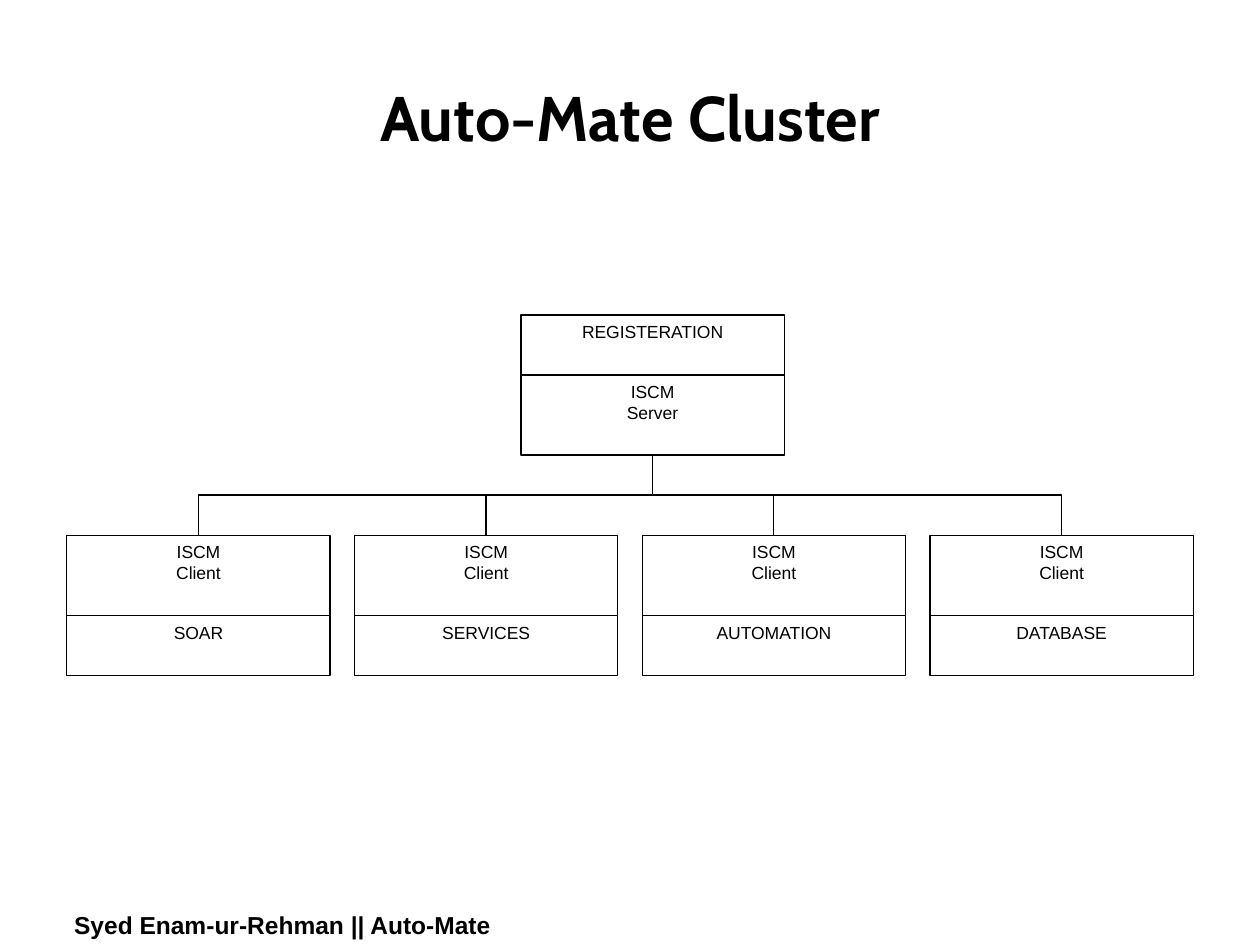
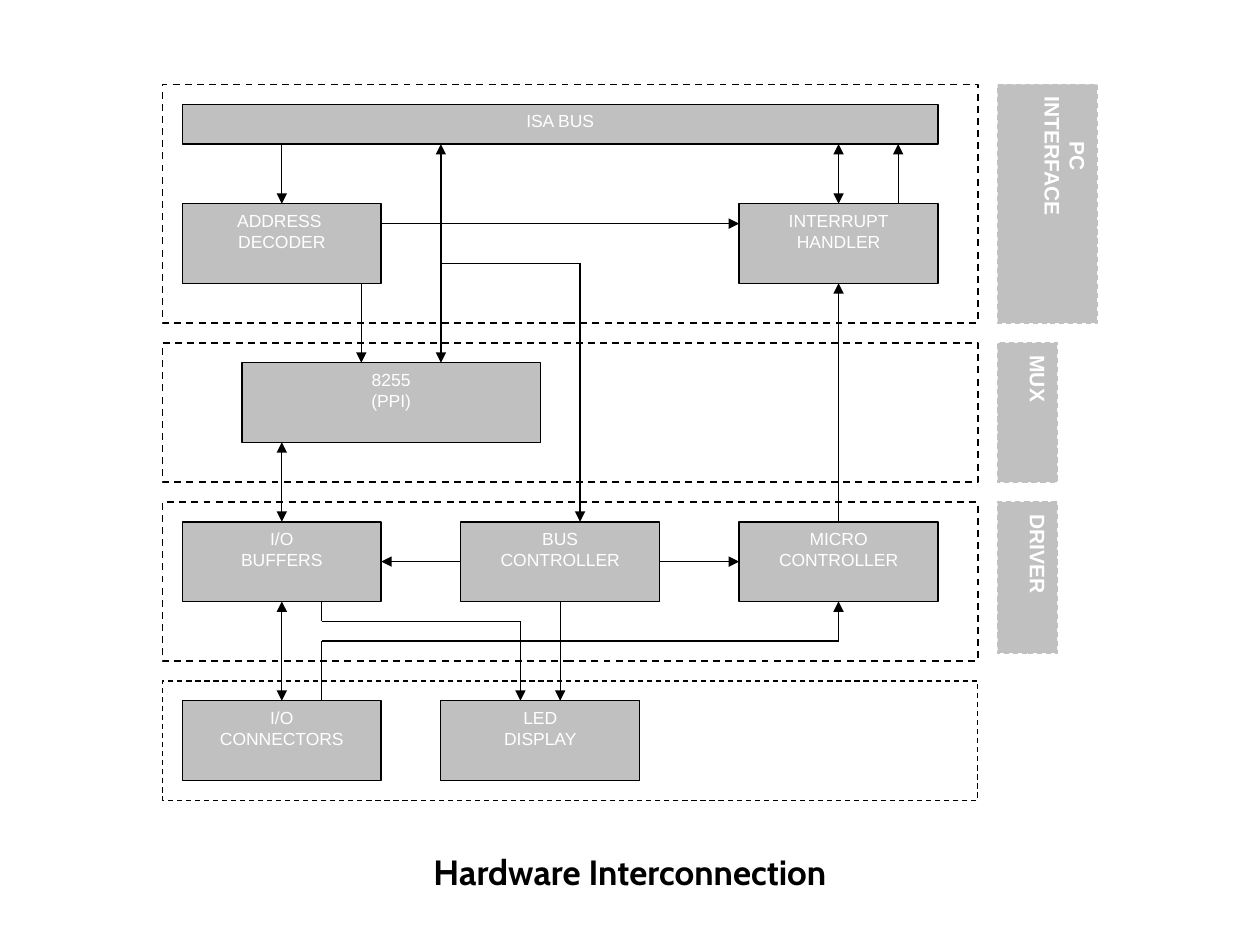
from itertools import pairwise
from lxml.etree import SubElement
from pptx import Presentation
from pptx.dml.color import RGBColor
from pptx.enum.dml import MSO_LINE as Dash
from pptx.enum.shapes import MSO_CONNECTOR as Link, MSO_SHAPE as Shape
from pptx.enum.text import MSO_ANCHOR as Anchor, MSO_AUTO_SIZE as Fit, PP_ALIGN as Align
from pptx.oxml.ns import qn
from pptx.util import Inches, Pt

HUES = {"ink": "000000", "paper": "FFFFFF", "grey": "C0C0C0"}
WIDE, HIGH = 10, 7.5
HEAD, BODY = "Cabin", "Arial"
THIN = 0.75


def hue(name):
    return RGBColor.from_string(HUES[name])


# Shared text and shape helpers
def write(frame, lines, size, font=BODY, ink="ink", bold=False, align=Align.CENTER):
    frame.word_wrap = True
    for i, line in enumerate(lines):
        para = frame.add_paragraph() if i else frame.paragraphs[0]
        para.alignment = align
        run = para.add_run()
        run.text = line
        run.font.size, run.font.name, run.font.bold = Pt(size), font, bold
        run.font.color.rgb = hue(ink)


def title(slide, text, box, size):
    head = slide.shapes.title
    head.left, head.top, head.width, head.height = map(Inches, box)
    frame = head.text_frame
    frame.auto_size = Fit.NONE
    frame.vertical_anchor = Anchor.MIDDLE
    write(frame, [text], size, HEAD, bold=True)


def footer(slide, text):
    box = slide.shapes.add_textbox(*map(Inches, (0.49, 7.17, 0.9 * WIDE, 0.34)))
    write(box.text_frame, [text], 14, bold=True, align=Align.LEFT)


def rect(slide, box, fill="paper", edge="ink", weight=THIN, dash=False):
    shape = slide.shapes.add_shape(Shape.RECTANGLE, *map(Inches, box))
    shape.shadow.inherit = False
    shape.fill.solid()
    shape.fill.fore_color.rgb = hue(fill)
    shape.line.color.rgb = hue(edge)
    shape.line.width = Pt(weight)
    if dash:
        shape.line.dash_style = Dash.DASH
    shape.text_frame.vertical_anchor = Anchor.TOP
    return shape


def link(slide, kind, start, end, tips=()):
    line = slide.shapes.add_connector(kind, *map(Inches, (*start, *end)))
    line.line.color.rgb = hue("ink")
    line.line.width = Pt(THIN)
    props = line._element.spPr
    for tip in tips:
        SubElement(props.find(qn("a:ln")), qn(f"a:{tip}"), type="triangle")
    SubElement(props, qn("a:effectLst"))
    return line


# Elbow that leaves downward, turns halfway and enters from above
def elbow(slide, start, end):
    (x1, y1), (x2, y2) = start, end
    midx, midy = (x1 + x2) / 2, (y1 + y2) / 2
    run, drop = abs(x2 - x1) / 2, (y2 - y1) / 2
    line = link(slide, Link.ELBOW, (midx - drop, midy - run), (midx + drop, midy + run))
    form = line._element.spPr.find(qn("a:xfrm"))
    form.set("rot", str((90 if x2 < x1 else 270) * 60000))
    if x2 > x1:
        form.set("flipH", "1")


# Cluster tree: 18 rows high, server above a row of clients
def cluster(slide, box, server, clients):
    left, top, width, height = box
    row, card = height / 18, 2.09
    pitch = (width - card) / (len(clients) - 1)

    def stack(x, y, parts):
        for lines, rows in parts:
            shape = rect(slide, (x, y, card, rows * row))
            write(shape.text_frame, lines, 10)
            y += rows * row

    hub = left + 0.52 * width
    stack(hub - card / 2, top, [([server], 3), (["ISCM", "Server"], 4)])
    for i, name in enumerate(clients):
        x, y = left + i * pitch, top + 11 * row
        stack(x, y, [(["ISCM", "Client"], 4), ([name], 3)])
        elbow(slide, (hub, top + 7 * row), (x + card / 2, y))


# Board diagram: 41 columns of square cells; parts are (column, row, columns, rows)
PANELS = [(0, 12, 1), (13, 7, 1), (21, 8, 1), (30, 6, THIN)]
BLOCKS = [
    (1, 1, 38, 2, ["ISA BUS"]),
    (1, 6, 10, 4, ["ADDRESS ", "DECODER"]),
    (29, 6, 10, 4, ["INTERRUPT", "HANDLER"]),
    (4, 14, 15, 4, ["8255", "(PPI)"]),
    (1, 22, 10, 4, ["I/O", "BUFFERS"]),
    (29, 22, 10, 4, ["MICRO CONTROLLER"]),
    (15, 22, 10, 4, ["BUS", "CONTROLLER"]),
    (1, 31, 10, 4, ["I/O", "CONNECTORS"]),
    (14, 31, 10, 4, ["LED", "DISPLAY"]),
]
ONEWAY = [
    [(6, 3), (6, 6)],
    [(11, 7), (29, 7)],
    [(14, 9), (21, 9), (21, 22)],
    [(10, 10), (10, 14)],
    [(34, 22), (34, 10)],
    [(37, 6), (37, 3)],
    [(15, 24), (11, 24)],
    [(25, 24), (29, 24)],
    [(20, 26), (20, 31)],
    [(8, 26), (8, 27), (18, 27), (18, 31)],
    [(8, 31), (8, 28), (34, 28), (34, 26)],
]
TWOWAY = [
    [(14, 3), (14, 14)],
    [(34, 6), (34, 3)],
    [(6, 18), (6, 22)],
    [(6, 26), (6, 31)],
]
LABELS = [
    (0, 5, 12, ["PC", "INTERFACE"]),
    (13, 3, 7, ["MUX"]),
    (21, 3, 7.6, ["DRIVER"]),
]


def board(slide, left, top, width):
    cell = width / 41

    def spot(col, row):
        return left + col * cell, top + row * cell

    def area(col, row, cols, rows):
        return *spot(col, row), cols * cell, rows * cell

    # Dashed layers and grey blocks
    for row, rows, weight in PANELS:
        rect(slide, area(0, row, 41, rows), weight=weight, dash=True)
    for *place, lines in BLOCKS:
        block = rect(slide, area(*place), "grey")
        write(block.text_frame, lines, 10, ink="paper")

    # Signal routes, with arrowheads on the last leg
    for routes, tips in ((ONEWAY, ["tailEnd"]), (TWOWAY, ["headEnd", "tailEnd"])):
        for route in routes:
            for start, end in pairwise(route):
                last = end == route[-1]
                link(slide, Link.STRAIGHT, spot(*start), spot(*end), tips if last else ())

    # Vertical layer labels
    for row, cols, rows, lines in LABELS:
        tag = rect(slide, area(42, row, cols, rows), "grey", "grey", dash=True)
        frame = tag.text_frame
        frame.margin_left = frame.margin_right = Inches(0.05)
        frame.margin_top = frame.margin_bottom = Inches(0.1)
        write(frame, lines, 12, ink="paper", bold=True)
        frame._txBody.bodyPr.set("vert", "eaVert")


def main():
    deck = Presentation()
    deck.slide_width, deck.slide_height = Inches(WIDE), Inches(HIGH)
    layout = deck.slide_layouts.get_by_name("Title Only")

    tree = deck.slides.add_slide(layout)
    footer(tree, "Syed Enam-ur-Rehman || Auto-Mate")
    title(tree, "Auto-Mate Cluster", (0.05 * WIDE, 0.04 * HIGH, 0.9 * WIDE, 1.25), 36)
    cluster(tree, (0.53, HIGH / 3, 8.94, 2.86), "REGISTERATION",
            ["SOAR", "SERVICES", "AUTOMATION", "DATABASE"])

    wiring = deck.slides.add_slide(layout)
    title(wiring, "Hardware Interconnection", (0.05 * WIDE, 6.65, 0.9 * WIDE, 0.54), 20)
    board(wiring, 1.29, 0.67, 6.47)

    deck.save("out.pptx")


if __name__ == "__main__":
    main()
